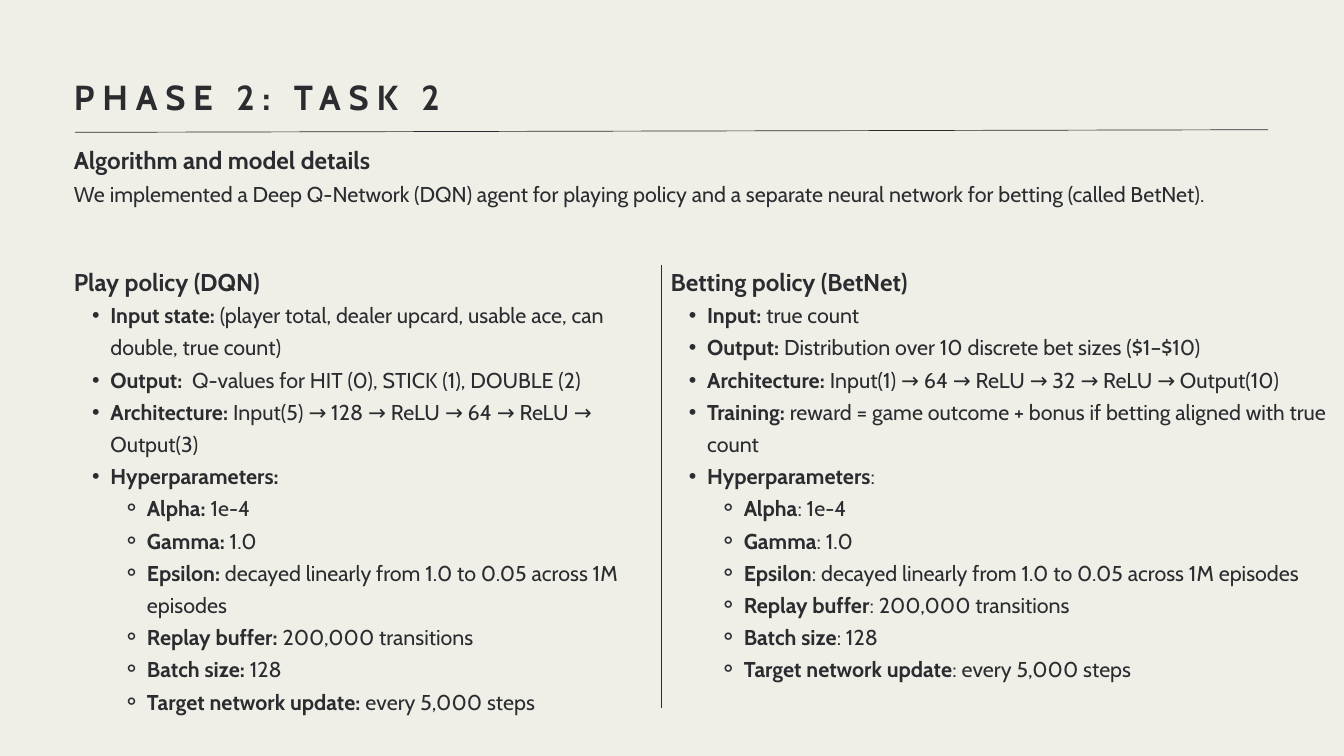
from dataclasses import dataclass

from lxml import etree
from pptx import Presentation
from pptx.dml.color import RGBColor
from pptx.enum import shapes, text
from pptx.oxml import ns
from pptx.util import Pt

INK = RGBColor(0x2B, 0x2C, 0x30)
PAPER = RGBColor(0xEF, 0xEE, 0xE7)
FONT = "Cabin"
TITLE_SIZE, HEADING_SIZE, BODY_SIZE = 37.2, 26, 23
TITLE_LEADING, HEADING_LEADING, BODY_LEADING = 52, 39, 34.5
TITLE_TRACKING = 8.4
MARGIN = 79.2
COLUMN_TOP = 278


@dataclass(frozen=True)
class Bullet:
    mark: str
    indent: float
    hanging: float


BULLETS = {1: Bullet("•", 39.1, 19.55), 2: Bullet("⚬", 78.3, 26.1)}


@dataclass(frozen=True)
class Line:
    """A paragraph with a bold lead and regular text after it."""
    bold: str = ""
    plain: str = ""
    level: int = 0
    size: float = BODY_SIZE
    leading: float = BODY_LEADING
    tracking: float = 0


@dataclass(frozen=True)
class Block:
    left: float
    top: float
    width: float
    height: float
    lines: list[Line]


@dataclass(frozen=True)
class Rule:
    x1: float
    y1: float
    x2: float
    y2: float


def heading(words: str) -> Line:
    return Line(words, size=HEADING_SIZE, leading=HEADING_LEADING)


def hyperparameters(bold_colon: bool) -> list[Line]:
    """The settings shared by both networks, with bold or regular colons."""
    settings = [
        ("Alpha", "1e-4"),
        ("Gamma", "1.0"),
        ("Epsilon", "decayed linearly from 1.0 to 0.05 across 1M episodes"),
        ("Replay buffer", "200,000 transitions"),
        ("Batch size", "128"),
        ("Target network update", "every 5,000 steps"),
    ]
    lead, tail = (":", "") if bold_colon else ("", ":")
    return [Line("Hyperparameters" + lead, tail, 1)] + [
        Line(name + lead, f"{tail} {value}", 2) for name, value in settings
    ]


BLOCKS = [
    Block(MARGIN, 74.2, 1278, 52, [
        Line("PHASE 2: TASK 2", size=TITLE_SIZE, leading=TITLE_LEADING,
             tracking=TITLE_TRACKING),
    ]),
    Block(MARGIN, COLUMN_TOP, 619.2, 591, [
        heading("Play policy (DQN)"),
        Line("Input state:", " (player total, dealer upcard, usable ace, "
             "can double, true count)", 1),
        Line("Output:  ", "Q-values for HIT (0), STICK (1), DOUBLE (2)", 1),
        Line("Architecture: ",
             "Input(5) → 128 → ReLU → 64 → ReLU → Output(3)", 1),
        *hyperparameters(bold_colon=True),
    ]),
    Block(718.6, COLUMN_TOP, 717.8, 694, [
        heading("Betting policy (BetNet)"),
        Line("Input: ", "true count", 1),
        Line("Output: ", "Distribution over 10 discrete bet sizes ($1–$10)", 1),
        Line("Architecture: ",
             "Input(1) → 64 → ReLU → 32 → ReLU → Output(10)", 1),
        Line("Training: ", "reward = game outcome + bonus if betting aligned "
             "with true count", 1),
        *hyperparameters(bold_colon=False),
    ]),
    Block(MARGIN, 147.6, 1258.6, 108, [
        heading("Algorithm and model details"),
        Line(plain="We implemented a Deep Q-Network (DQN) agent for playing "
             "policy and a separate neural network for betting "
             "(called BetNet)."),
    ]),
]
RULES = [
    Rule(80.6, 141.8, 1358.6, 139),
    Rule(708.5, 284.4, 708.5, 758.2),
]


def add_bullet(para, level: int) -> None:
    bullet = BULLETS[level]
    para.level = level
    props = para._p.get_or_add_pPr()
    props.set("marL", str(Pt(bullet.indent)))
    props.set("indent", str(-Pt(bullet.hanging)))
    colour = etree.SubElement(props, ns.qn("a:buClr"))
    etree.SubElement(colour, ns.qn("a:srgbClr"), val=str(INK))
    etree.SubElement(props, ns.qn("a:buFont"), typeface="Arial")
    etree.SubElement(props, ns.qn("a:buChar"), char=bullet.mark)


def add_span(para, words: str, bold: bool, line: Line) -> None:
    span = para.add_run()
    span.text = words
    span.font.name = FONT
    span.font.size = Pt(line.size)
    span.font.bold = bold
    span.font.color.rgb = INK
    if line.tracking:
        span._r.get_or_add_rPr().set("spc", str(round(line.tracking * 100)))


def add_block(page, block: Block) -> None:
    box = page.shapes.add_textbox(Pt(block.left), Pt(block.top),
                                  Pt(block.width), Pt(block.height))
    frame = box.text_frame
    frame.word_wrap = True
    frame.auto_size = text.MSO_AUTO_SIZE.SHAPE_TO_FIT_TEXT
    frame.margin_left = frame.margin_right = Pt(0)
    frame.margin_top = frame.margin_bottom = Pt(0)
    for index, line in enumerate(block.lines):
        para = frame.add_paragraph() if index else frame.paragraphs[0]
        para.line_spacing = Pt(line.leading)
        if line.level:
            add_bullet(para, line.level)
        for words, bold in ((line.bold, True), (line.plain, False)):
            if words:
                add_span(para, words, bold, line)


def add_rule(page, rule: Rule) -> None:
    connector = page.shapes.add_connector(
        shapes.MSO_CONNECTOR.STRAIGHT,
        Pt(rule.x1), Pt(rule.y1), Pt(rule.x2), Pt(rule.y2))
    connector.line.color.rgb = INK
    connector.line.width = Pt(0.75)
    etree.SubElement(connector._element.spPr, ns.qn("a:effectLst"))


def main() -> None:
    deck = Presentation()
    deck.slide_width, deck.slide_height = Pt(1440), Pt(810)
    page = deck.slides.add_slide(deck.slide_layouts[6])
    page.background.fill.solid()
    page.background.fill.fore_color.rgb = PAPER
    for rule in RULES:
        add_rule(page, rule)
    for block in BLOCKS:
        add_block(page, block)
    deck.save("out.pptx")


if __name__ == "__main__":
    main()
